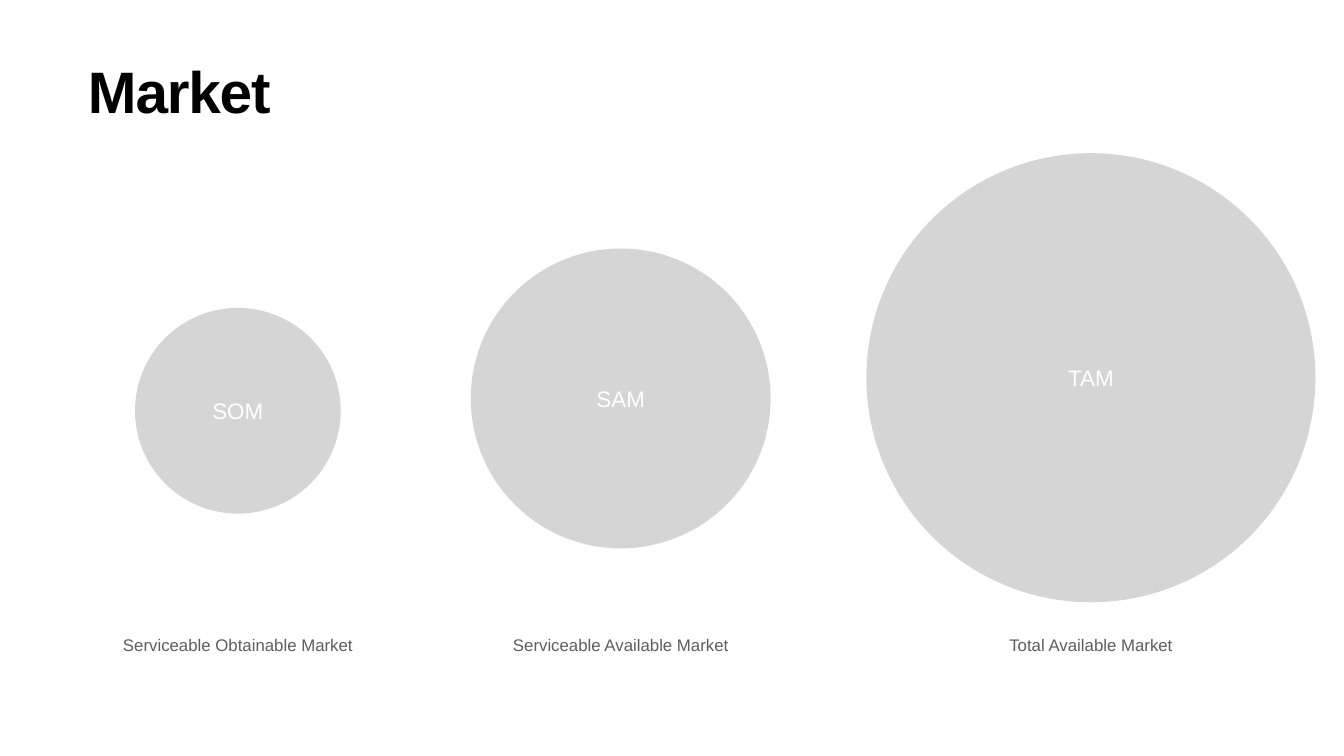
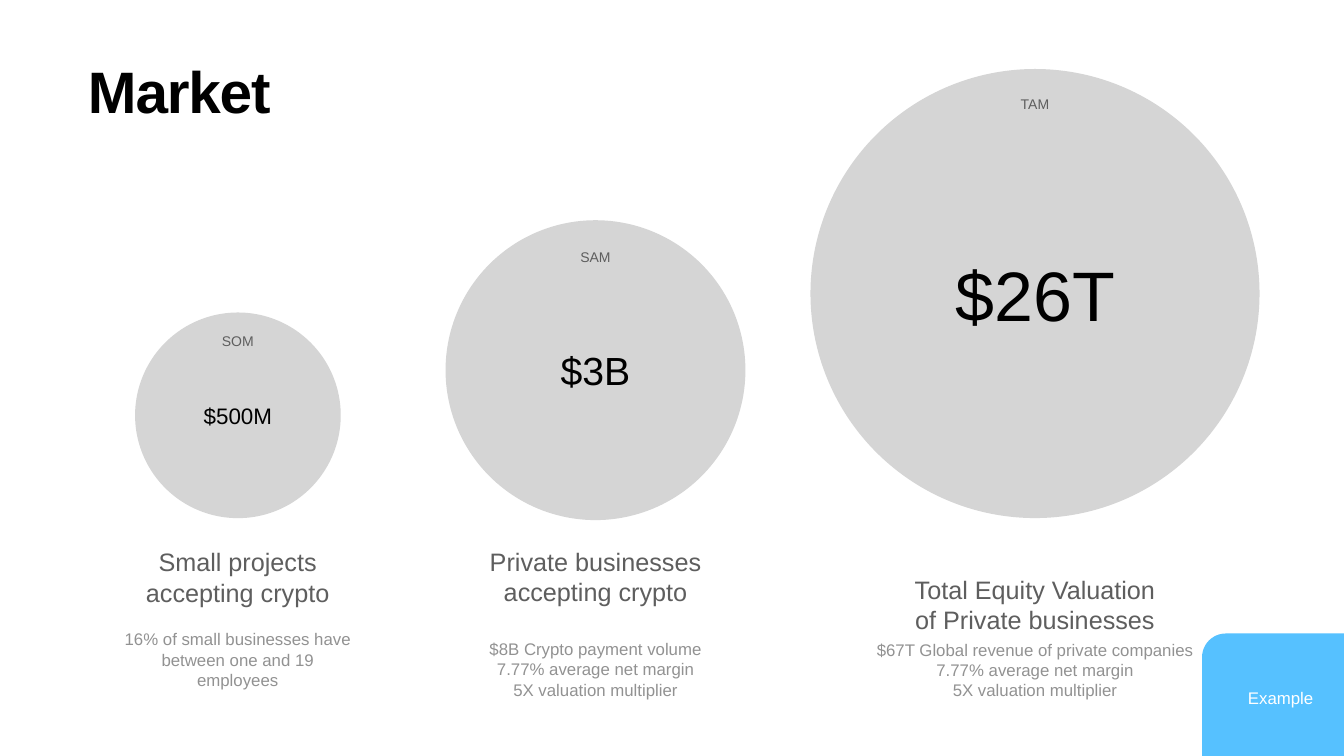
import dataclasses

import pptx
import pptx.dml.color
import pptx.enum.shapes
import pptx.enum.text
import pptx.util

Pt = pptx.util.Pt
Anchor = pptx.enum.text.MSO_ANCHOR
Align = pptx.enum.text.PP_ALIGN
Shape = pptx.enum.shapes.MSO_SHAPE


@dataclasses.dataclass(frozen=True)
class Theme:
    font: str = "Arial"
    black: str = "000000"
    white: str = "FFFFFF"
    dark_grey: str = "5E5E5E"
    mid_grey: str = "929292"
    circle: str = "D5D5D5"
    badge: str = "56C1FF"
    title_size: float = 83.5
    heading_size: float = 36
    label_size: float = 32
    caption_size: float = 24
    tag_size: float = 20
    inset: float = 4


@dataclasses.dataclass(frozen=True)
class Box:
    left: float
    top: float
    width: float
    height: float

    @classmethod
    def around(cls, center, middle, width, height):
        return cls(center - width / 2, middle - height / 2, width, height)

    @property
    def center(self):
        return self.left + self.width / 2

    @property
    def middle(self):
        return self.top + self.height / 2

    def lengths(self):
        return [Pt(round(value, 2)) for value in dataclasses.astuple(self)]


@dataclasses.dataclass(frozen=True)
class Example:
    """One market of the worked example; tag_drop runs from circle top to tag middle."""
    box: Box
    tag: str
    tag_drop: float
    value: str
    value_size: float
    heading: str
    heading_box: Box
    details: str
    details_box: Box


THEME = Theme()
PAGE = Box(0, 0, 1920, 1080)
TITLE = Box(121.7, 75.6, 1038.2, 107.3)
BADGE = Box(1717.2, 905, 359.3, 226)
SMALL, MEDIUM, LARGE = 293.8, 428.4, 641.5
CAPTION_MIDDLE = 921

MARKETS = [
    (Box.around(339.8, 586.8, SMALL, SMALL), "SOM", "Serviceable Obtainable Market"),
    (Box.around(886.7, 569.2, MEDIUM, MEDIUM), "SAM", "Serviceable Available Market"),
    (Box.around(1558.4, 539.6, LARGE, LARGE), "TAM", "Total Available Market"),
]

EXAMPLES = [
    Example(Box(192.96, 446.4, SMALL, SMALL), "SOM", 41, "$500M", 32,
            "Small projects\naccepting crypto", Box.around(339.5, 824, 300, 93),
            "16% of small businesses have between one and 19 employees",
            Box.around(339.5, 942, 347.8, 94)),
    Example(Box(636.5, 314.6, MEDIUM, MEDIUM), "SAM", 52.6, "$3B", 56,
            "Private businesses accepting crypto", Box.around(850.7, 823.3, 385.2, 93),
            "$8B Crypto payment volume\n7.77% average net margin\n5X valuation multiplier",
            Box.around(850.7, 956, 347.8, 123)),
    Example(Box(1157.8, 98.6, LARGE, LARGE), "TAM", 49.7, "$26T", 100,
            "Total Equity Valuation of Private businesses",
            Box.around(1478.5, 863, 385.2, 136),
            "$67T Global revenue of private companies\n"
            "7.77% average net margin\n5X valuation multiplier",
            Box.around(1478.5, 956.5, 494.6, 123)),
]


def rgb(color):
    return pptx.dml.color.RGBColor.from_string(color)


def write(shape, text, *, size, color, bold=False, align=Align.CENTER,
          anchor=Anchor.MIDDLE, wrap=True, line_spacing=None, tracking=None):
    """Fill a shape with formatted text, one paragraph per line."""
    frame = shape.text_frame
    frame.auto_size = pptx.enum.text.MSO_AUTO_SIZE.NONE
    frame.word_wrap = wrap
    frame.vertical_anchor = anchor
    frame.margin_left = frame.margin_right = Pt(THEME.inset)
    frame.margin_top = frame.margin_bottom = Pt(THEME.inset)
    frame.text = text
    for para in frame.paragraphs:
        para.alignment = align
        para.line_spacing = line_spacing
        for span in para.runs:
            span.font.name = THEME.font
            span.font.size = Pt(size)
            span.font.bold = bold
            span.font.color.rgb = rgb(color)
            if tracking is not None:
                span.font._element.set("spc", str(round(tracking * 100)))


def add_text(page, box, text, **text_format):
    write(page.shapes.add_textbox(*box.lengths()), text, **text_format)


def add_filled(page, kind, box, color):
    shape = page.shapes.add_shape(kind, *box.lengths())
    shape.shadow.inherit = False
    shape.fill.solid()
    shape.fill.fore_color.rgb = rgb(color)
    shape.line.fill.background()
    return shape


def add_circle(page, box, text, size, color):
    circle = add_filled(page, Shape.OVAL, box, THEME.circle)
    write(circle, text, size=size, color=color)


def add_titled_page(deck, title):
    page = deck.slides.add_slide(deck.slide_layouts.get_by_name("Title Only"))
    holder = page.shapes.title
    holder.left, holder.top, holder.width, holder.height = TITLE.lengths()
    write(holder, title, size=THEME.title_size, color=THEME.black, bold=True,
          align=Align.LEFT, anchor=Anchor.BOTTOM, line_spacing=0.8, tracking=-1.7)
    return page


def add_market(page, box, label, caption):
    add_circle(page, box, label, THEME.label_size, THEME.white)
    add_text(page, Box.around(box.center, CAPTION_MIDDLE, 340, 36), caption,
             size=THEME.caption_size, color=THEME.dark_grey, wrap=False)


def add_example(page, example):
    box = example.box
    add_circle(page, box, example.value, example.value_size, THEME.black)
    add_text(page, Box.around(box.center, box.top + example.tag_drop, 55, 32),
             example.tag, size=THEME.tag_size, color=THEME.dark_grey, wrap=False)
    add_text(page, example.heading_box, example.heading,
             size=THEME.heading_size, color=THEME.dark_grey)
    add_text(page, example.details_box, example.details,
             size=THEME.caption_size, color=THEME.mid_grey)


def add_badge(page, box, text):
    """Corner badge running past the page edge, its label in the part that shows."""
    badge = add_filled(page, Shape.ROUNDED_RECTANGLE, box, THEME.badge)
    badge.adjustments[0] = 0.15
    add_text(page, Box.around(box.left + 112.3, box.top + 92.2, 102, 36), text,
             size=THEME.caption_size, color=THEME.white, wrap=False)


def build_market_page(deck):
    page = add_titled_page(deck, "Market")
    for box, label, caption in MARKETS:
        add_market(page, box, label, caption)


def build_example_page(deck):
    page = add_titled_page(deck, "Market")
    for example in EXAMPLES:
        add_example(page, example)
    add_badge(page, BADGE, "Example")


def main():
    deck = pptx.Presentation()
    deck.slide_width, deck.slide_height = Pt(PAGE.width), Pt(PAGE.height)
    build_market_page(deck)
    build_example_page(deck)
    deck.save("out.pptx")


if __name__ == "__main__":
    main()
